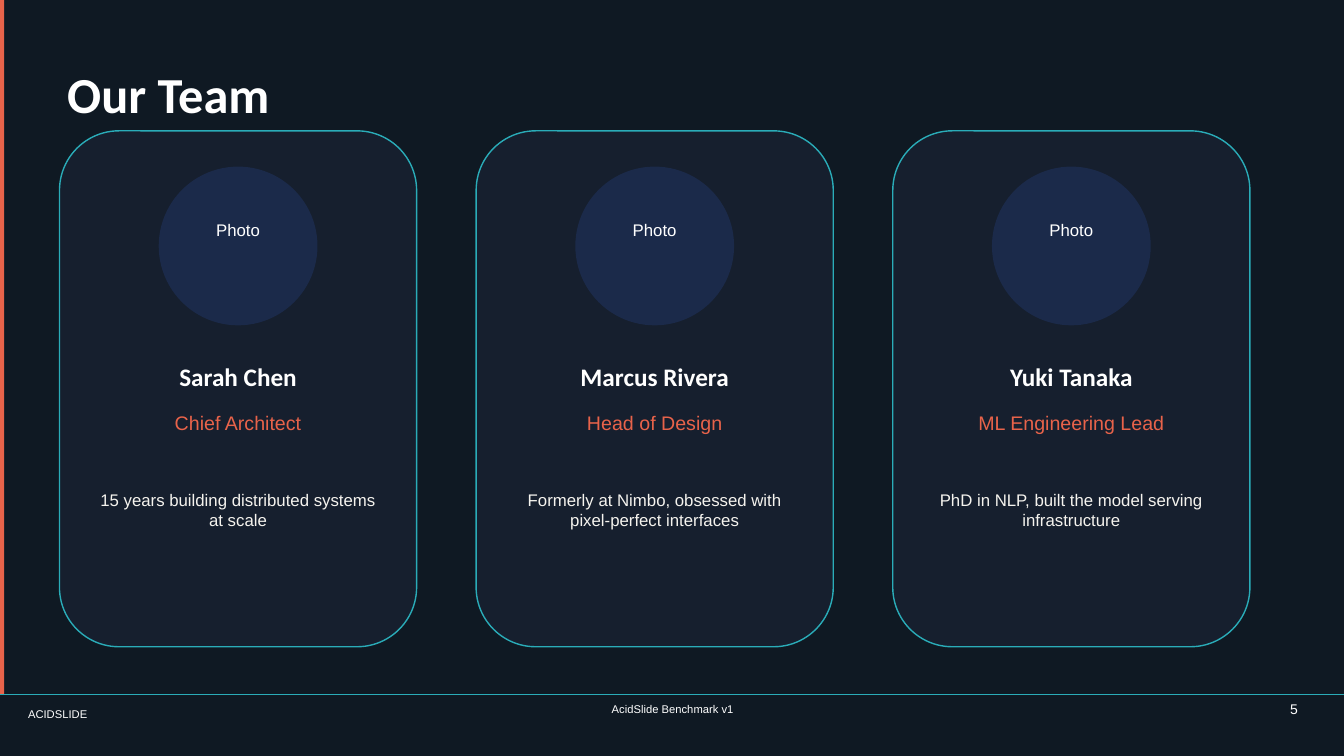
from lxml.etree import SubElement
from pptx import Presentation
from pptx.dml.color import RGBColor
from pptx.enum.shapes import MSO_CONNECTOR, MSO_SHAPE
from pptx.enum.text import MSO_ANCHOR, PP_ALIGN
from pptx.oxml.ns import qn
from pptx.util import Pt

SLIDE_WIDTH, SLIDE_HEIGHT = 960, 540
NIGHT, CARD_FILL, NAVY = "0F1923", "161F2E", "1B2A4A"
CORAL, TEAL, WHITE, CREAM = "E8634A", "2AACB8", "FFFFFF", "F5F3EE"

TEAM = [
    ("Sarah Chen", "Chief Architect",
     "15 years building distributed systems at scale"),
    ("Marcus Rivera", "Head of Design",
     "Formerly at Nimbo, obsessed with pixel-perfect interfaces"),
    ("Yuki Tanaka", "ML Engineering Lead",
     "PhD in NLP, built the model serving infrastructure"),
]


def paint(color_format, color):
    color_format.rgb = RGBColor.from_string(color)


def write(shape, text, size, color=WHITE, font="Arial", bold=False,
          align=PP_ALIGN.LEFT, anchor=MSO_ANCHOR.MIDDLE):
    frame = shape.text_frame
    frame.word_wrap = True
    frame.vertical_anchor = anchor
    frame.margin_left = frame.margin_right = Pt(0)
    frame.margin_top = frame.margin_bottom = Pt(0)
    paragraph = frame.paragraphs[0]
    paragraph.alignment = align
    run = paragraph.add_run()
    run.text = text
    run.font.name = font
    run.font.size = Pt(size)
    run.font.bold = bold
    paint(run.font.color, color)


def add_text(shapes, left, top, width, height, text, size, **style):
    box = shapes.add_textbox(Pt(left), Pt(top), Pt(width), Pt(height))
    write(box, text, size, **style)


def add_panel(shapes, kind, left, top, width, height, fill, line=None):
    panel = shapes.add_shape(kind, Pt(left), Pt(top), Pt(width), Pt(height))
    panel.shadow.inherit = False
    panel.fill.solid()
    paint(panel.fill.fore_color, fill)
    if line:
        paint(panel.line.color, line)
        panel.line.width = Pt(1)
    else:
        panel.line.fill.background()


def add_frame(slide, rule_top):
    """Dark background, coral edge and the rule above the footer."""
    slide.background.fill.solid()
    paint(slide.background.fill.fore_color, NIGHT)
    add_panel(slide.shapes, MSO_SHAPE.RECTANGLE, 0, 0, 3, rule_top, CORAL)
    rule = slide.shapes.add_connector(
        MSO_CONNECTOR.STRAIGHT, Pt(0), Pt(rule_top), Pt(SLIDE_WIDTH), Pt(rule_top))
    paint(rule.line.color, TEAL)
    rule.line.width = Pt(0.5)
    SubElement(rule._element.spPr, qn("a:effectLst"))


def add_title(slide, left, top, width, height, text):
    title = slide.shapes.title
    title.left, title.top = Pt(left), Pt(top)
    title.width, title.height = Pt(width), Pt(height)
    write(title, text, 36, font="Calibri", bold=True)


def add_member_card(slide, left, top, width, height, member):
    name, role, biography = member
    shapes = slide.shapes.add_group_shape().shapes
    photo_size = 113.4
    photo_left = left + (width - photo_size) / 2

    def add_line(offset, inset, line_height, text, size, **style):
        add_text(shapes, left + inset, top + offset, width - 2 * inset,
                 line_height, text, size, align=PP_ALIGN.CENTER, **style)

    add_panel(shapes, MSO_SHAPE.ROUNDED_RECTANGLE, left, top, width, height,
              CARD_FILL, TEAL)
    add_panel(shapes, MSO_SHAPE.OVAL, photo_left, top + 25.5, photo_size,
              photo_size, NAVY)
    add_line(54, photo_left - left, 34, "Photo", 12)
    add_line(161.5, 14.2, 28, name, 18, font="Calibri", bold=True)
    add_line(196, 14.2, 25.2, role, 14, color=CORAL)
    add_line(235.5, 25.5, 70.8, biography, 12, color=CREAM)


def add_footer(slide, top):
    add_text(slide.shapes, 20, top + 6, 142, 16, "ACIDSLIDE", 8)
    add_text(slide.shapes, 317.5, top + 6, 326, 14.4, "AcidSlide Benchmark v1", 8,
             align=PP_ALIGN.CENTER, anchor=MSO_ANCHOR.TOP)
    add_text(slide.shapes, 893, top + 4.5, 34, 17, "5", 10,
             align=PP_ALIGN.RIGHT, anchor=MSO_ANCHOR.TOP)


def build_team_slide(presentation):
    slide = presentation.slides.add_slide(presentation.slide_layouts[5])
    rule_top = 496
    add_frame(slide, rule_top)
    add_title(slide, 48, 21.6, 864, 90, "Our Team")
    card_width, card_gap = 255.1, 42.5
    for index, member in enumerate(TEAM):
        left = 42.5 + index * (card_width + card_gap)
        add_member_card(slide, left, 93.5, card_width, 368.5, member)
    add_footer(slide, rule_top)


def main():
    presentation = Presentation()
    presentation.slide_width = Pt(SLIDE_WIDTH)
    presentation.slide_height = Pt(SLIDE_HEIGHT)
    build_team_slide(presentation)
    presentation.save("out.pptx")


if __name__ == "__main__":
    main()
